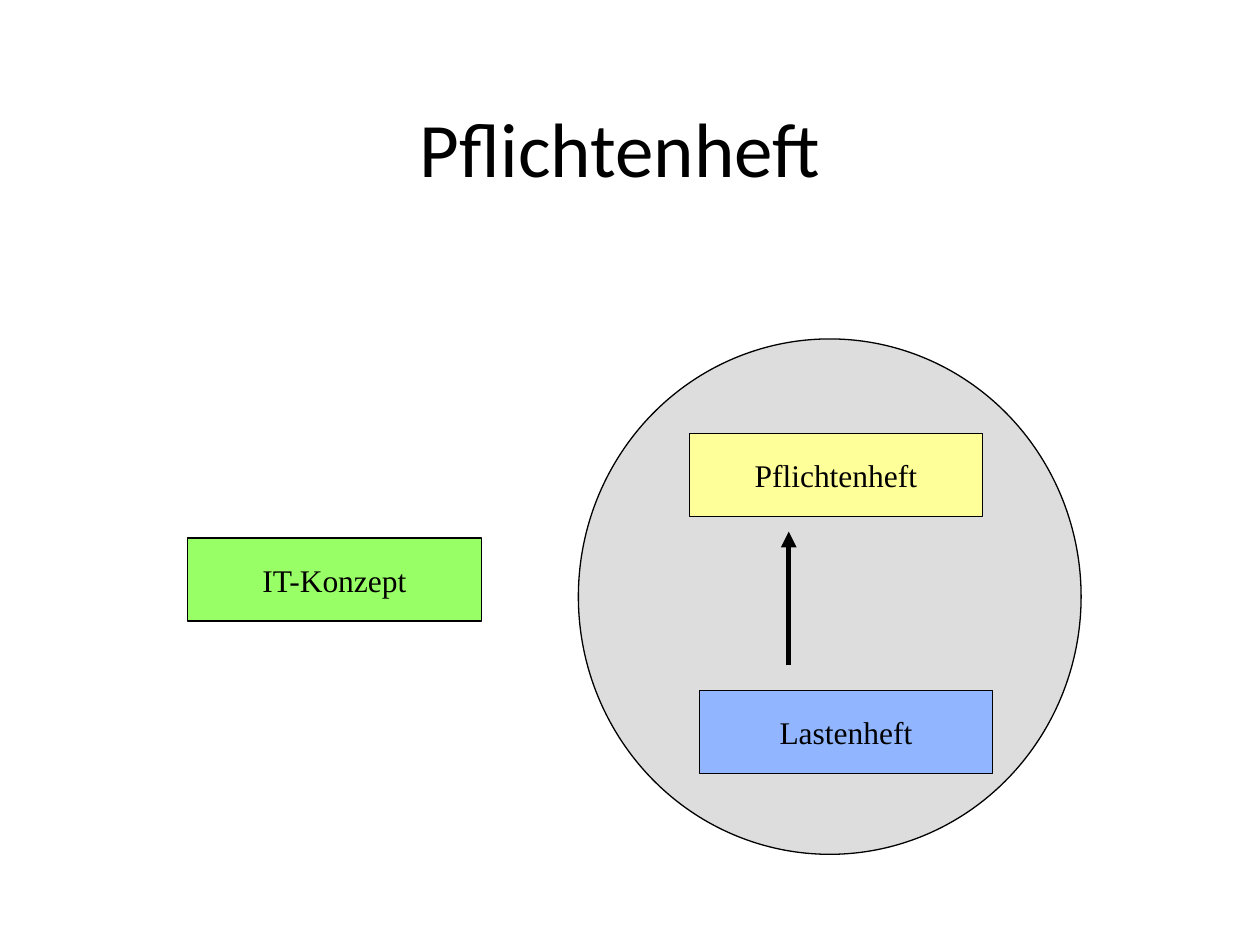
import pptx
import pptx.dml.color
import pptx.enum.shapes
import pptx.enum.text
import pptx.oxml.ns
import pptx.util
from lxml import etree
from pptx.util import Inches

COLOURS = {
    "black": "000000",
    "grey": "DDDDDD",
    "green": "99FF66",
    "blue": "91B6FF",
    "yellow": "FFFF99",
}
SHAPES = pptx.enum.shapes.MSO_SHAPE


def rgb(name):
    return pptx.dml.color.RGBColor.from_string(COLOURS[name])


def write_text(box, text, font_format, wrap):
    frame = box.text_frame
    frame.word_wrap = wrap
    frame.vertical_anchor = pptx.enum.text.MSO_ANCHOR.MIDDLE
    para = frame.paragraphs[0]
    para.alignment = pptx.enum.text.PP_ALIGN.CENTER
    span = para.add_run()
    span.text = text
    for attribute, value in font_format.items():
        setattr(span.font, attribute, value)
    span.font.color.rgb = rgb("black")


deck = pptx.Presentation()
deck.slide_width = Inches(10)
deck.slide_height = Inches(7.5)
page = deck.slides.add_slide(deck.slide_layouts[6])

# Title
title_format = {"name": "Calibri", "size": pptx.util.Pt(44)}
title = page.shapes.add_textbox(Inches(0.67), Inches(0.36), Inches(8.5), Inches(1.61))
write_text(title, "Pflichtenheft", title_format, True)

# Circle and document boxes, from back to front
label_format = {"name": "Times New Roman", "size": pptx.util.Pt(18)}
parts = [
    (SHAPES.OVAL, 4.59, 2.69, 3.99, 4.09, "grey", None),
    (SHAPES.RECTANGLE, 1.49, 4.27, 2.33, 0.66, "green", "IT-Konzept"),
    (SHAPES.RECTANGLE, 5.55, 5.48, 2.33, 0.66, "blue", "Lastenheft"),
    (SHAPES.RECTANGLE, 5.47, 3.44, 2.33, 0.66, "yellow", "Pflichtenheft"),
]
for kind, left, top, width, height, fill, label in parts:
    box = page.shapes.add_shape(
        kind, Inches(left), Inches(top), Inches(width), Inches(height)
    )
    box.shadow.inherit = False
    box.fill.solid()
    box.fill.fore_color.rgb = rgb(fill)
    box.line.color.rgb = rgb("black")
    box.line.width = pptx.util.Pt(0.75)
    if label:
        write_text(box, label, label_format, False)

# Arrow from Lastenheft up to Pflichtenheft
arrow = page.shapes.add_connector(
    pptx.enum.shapes.MSO_CONNECTOR.STRAIGHT,
    Inches(6.26), Inches(5.28), Inches(6.26), Inches(4.22),
)
arrow.line.color.rgb = rgb("black")
arrow.line.width = pptx.util.Pt(3)
etree.SubElement(arrow.line._get_or_add_ln(), pptx.oxml.ns.qn("a:tailEnd"), type="triangle")
etree.SubElement(arrow._element.spPr, pptx.oxml.ns.qn("a:effectLst"))

deck.save("out.pptx")
